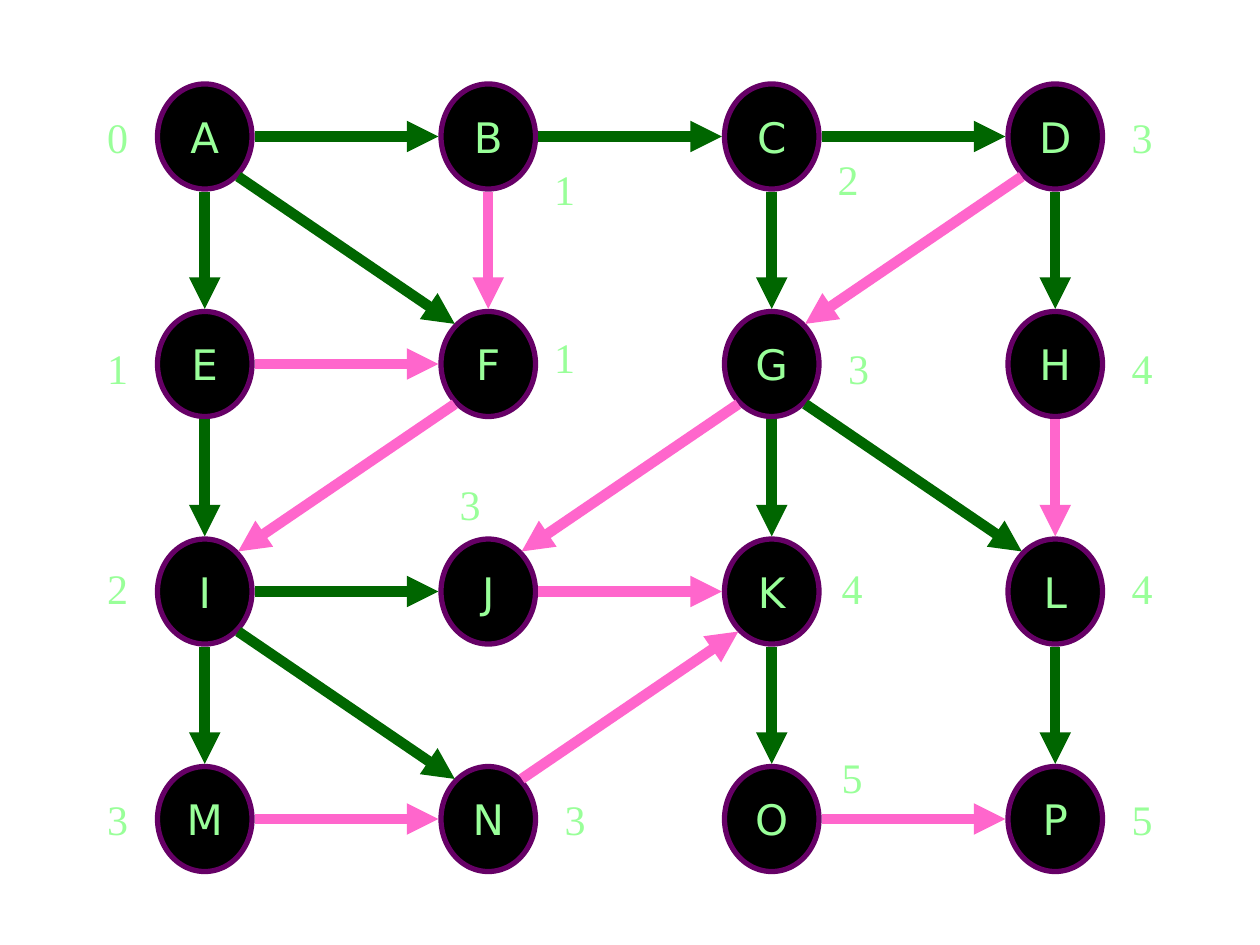
"""Build a breadth-first search slide: a graph with tree edges, cross edges and distances."""
from dataclasses import dataclass

import lxml.etree
import pptx
import pptx.dml.color
import pptx.enum.shapes
import pptx.enum.text
import pptx.oxml.ns
import pptx.util
from pptx.util import Pt

COLORS = {
    "node": "000000",
    "outline": "660066",
    "text": "99FF99",
    "tree": "006600",
    "cross": "FF66CC",
    "paper": "FFFFFF",
}
NODE_NAMES = "ABCDEFGHIJKLMNOP"
COLUMNS = 4
FIRST_X, FIRST_Y = 117, 78
STEP_X, STEP_Y = 162, 130
NODE_WIDTH, NODE_HEIGHT = 54, 60
GAP_X, GAP_Y = 28.5, 31.5
DIAGONAL_X, DIAGONAL_Y = 19.1, 22.9
LABEL_WIDTH, LABEL_HEIGHT = 26.4, 36
EDGES = {
    "tree": "AB BC CD AE AF CG DH EI GK GL IJ IM IN KO LP",
    "cross": "BF DG EF FI GJ HL JK NK MN OP",
}


@dataclass(frozen=True)
class Distance:
    value: int
    left: float
    top: float


DISTANCES = [
    Distance(0, 54, 60),
    Distance(1, 54, 192),
    Distance(1, 309.4, 186),
    Distance(1, 309.4, 90),
    Distance(2, 54, 318),
    Distance(2, 471.4, 84),
    Distance(3, 54, 450),
    Distance(3, 315.4, 450),
    Distance(3, 255.4, 270),
    Distance(3, 477.4, 192),
    Distance(3, 639.4, 60),
    Distance(4, 473.7, 318),
    Distance(4, 639.4, 318),
    Distance(4, 639.4, 192),
    Distance(5, 473.7, 426),
    Distance(5, 639.4, 450),
]


def rgb(name: str) -> pptx.dml.color.RGBColor:
    """Return the named colour."""
    return pptx.dml.color.RGBColor.from_string(COLORS[name])


def center(name: str) -> tuple[float, float]:
    """Return the centre of a node on the grid."""
    row, column = divmod(NODE_NAMES.index(name), COLUMNS)
    return FIRST_X + column * STEP_X, FIRST_Y + row * STEP_Y


def sign(number: float) -> int:
    """Return -1, 0 or 1."""
    return (number > 0) - (number < 0)


def write_text(shape, text: str, font_name: str) -> None:
    """Put one centred, unwrapped line of text in a shape."""
    text_frame = shape.text_frame
    text_frame.text = text
    text_frame.word_wrap = False
    paragraph = text_frame.paragraphs[0]
    paragraph.alignment = pptx.enum.text.PP_ALIGN.CENTER
    font = paragraph.runs[0].font
    font.name = font_name
    font.size = Pt(24)
    font.color.rgb = rgb("text")


def draw_node(slide, name: str) -> None:
    """Draw a node as an outlined ellipse."""
    x, y = center(name)
    shape = slide.shapes.add_shape(
        pptx.enum.shapes.MSO_SHAPE.OVAL,
        Pt(x - NODE_WIDTH / 2), Pt(y - NODE_HEIGHT / 2), Pt(NODE_WIDTH), Pt(NODE_HEIGHT),
    )
    shape.shadow.inherit = False
    shape.fill.solid()
    shape.fill.fore_color.rgb = rgb("node")
    shape.line.color.rgb = rgb("outline")
    shape.line.width = Pt(3)
    write_text(shape, name, "DejaVu Sans")
    shape.text_frame.vertical_anchor = pptx.enum.text.MSO_ANCHOR.MIDDLE


def draw_edge(slide, start: str, end: str, kind: str) -> None:
    """Draw an arrow between the rims of two nodes."""
    (start_x, start_y), (end_x, end_y) = center(start), center(end)
    across, down = sign(end_x - start_x), sign(end_y - start_y)
    diagonal = across and down
    offset_x = across * (DIAGONAL_X if diagonal else GAP_X)
    offset_y = down * (DIAGONAL_Y if diagonal else GAP_Y)
    connector = slide.shapes.add_connector(
        pptx.enum.shapes.MSO_CONNECTOR.STRAIGHT,
        Pt(start_x + offset_x), Pt(start_y + offset_y),
        Pt(end_x - offset_x), Pt(end_y - offset_y),
    )
    connector.line.color.rgb = rgb(kind)
    connector.line.width = Pt(6)
    qualify = pptx.oxml.ns.qn
    properties = connector.element.spPr
    line = properties.find(qualify("a:ln"))
    lxml.etree.SubElement(line, qualify("a:tailEnd"), type="triangle")
    lxml.etree.SubElement(properties, qualify("a:effectLst"))


def draw_distance(slide, distance: Distance) -> None:
    """Draw a distance label beside its node."""
    label = slide.shapes.add_textbox(
        Pt(distance.left), Pt(distance.top), Pt(LABEL_WIDTH), Pt(LABEL_HEIGHT)
    )
    label.fill.solid()
    label.fill.fore_color.rgb = rgb("paper")
    write_text(label, str(distance.value), "Times New Roman")
    label.text_frame.auto_size = pptx.enum.text.MSO_AUTO_SIZE.SHAPE_TO_FIT_TEXT


def main() -> None:
    """Build and save the presentation."""
    presentation = pptx.Presentation()
    presentation.slide_width = Pt(720)
    presentation.slide_height = Pt(540)
    slide = presentation.slides.add_slide(presentation.slide_layouts[6])
    for name in NODE_NAMES:
        draw_node(slide, name)
    for kind, pairs in EDGES.items():
        for start, end in pairs.split():
            draw_edge(slide, start, end, kind)
    for distance in DISTANCES:
        draw_distance(slide, distance)
    presentation.save("out.pptx")


if __name__ == "__main__":
    main()
